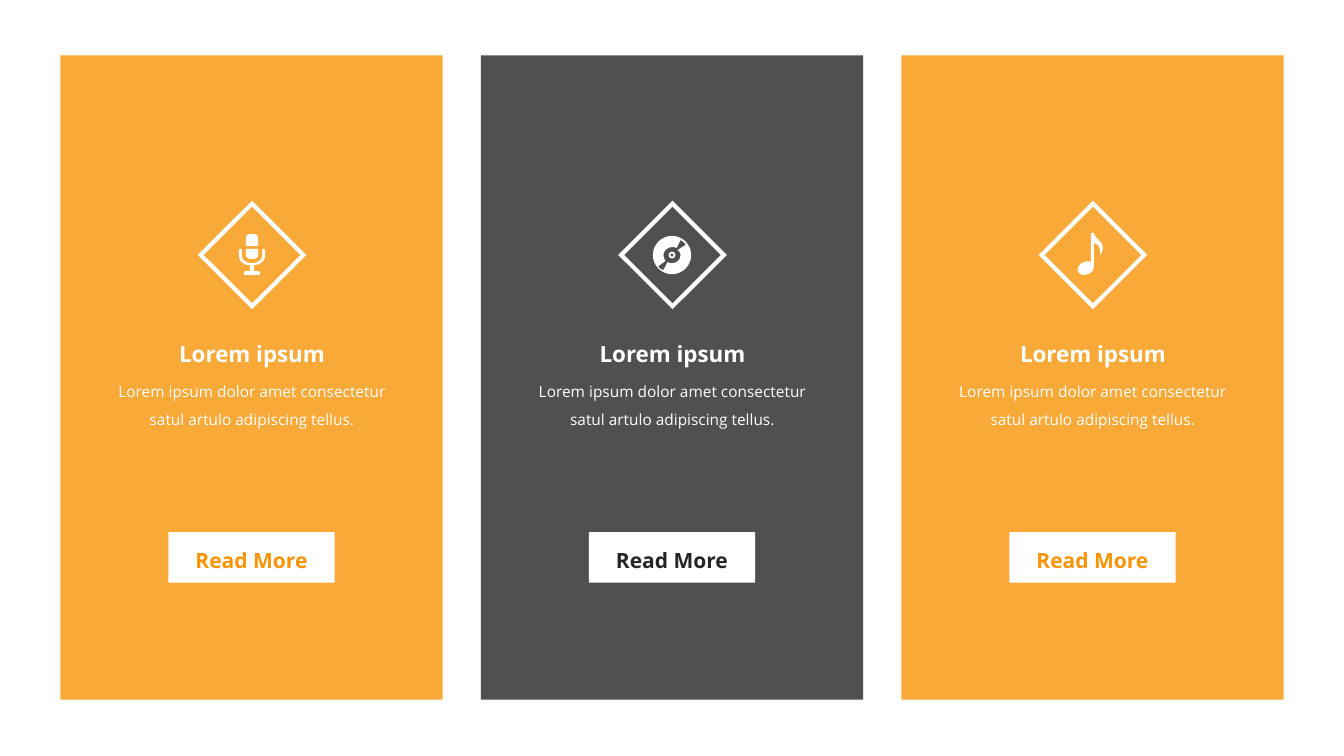
from lxml import etree
from pptx import Presentation, util as u
from pptx.dml.color import RGBColor
from pptx.enum import shapes, text
from pptx.oxml.ns import qn

# Content
COLOURS = {"orange": "F89406", "dark": "242527", "white": "FFFFFF"}
FONT = "Open Sans"
HEADING = "Lorem ipsum"
BODY = "Lorem ipsum dolor amet consectetur satul artulo adipiscing tellus."
BUTTON = "Read More"


def ring(cx, r):
    k = 0.55 * r
    return [(cx + r, 0), (cx + r, k, cx + k, r, cx, r),
            (cx - k, r, cx - r, k, cx - r, 0),
            (cx - r, -k, cx - k, -r, cx, -r),
            (cx + k, -r, cx + r, -k, cx + r, 0)]


# Icon outlines in 1/100 inch from the diamond's centre: pairs are corners,
# sixes are Bezier curves (two controls and an end)
MICROPHONE = [
    [(13, -5), (13, 1), (13, 5, 9, 10, 2, 10), (2, 16), (7, 16), (8, 17),
     (8, 19), (7, 20), (-7, 20), (-8, 19), (-8, 17), (-7, 16), (-2, 16),
     (-2, 10), (-10, 10, -13, 5, -13, 1), (-13, -5), (-12, -6), (-11, -6),
     (-10, -5), (-10, 1), (-10, 3, -8, 8, 0, 8), (8, 8, 10, 3, 10, 1),
     (10, -5), (11, -6), (12, -6)],
    [(6, -9), (-6, -9), (-6, -18), (-6, -19, -5, -21, 0, -21),
     (5, -21, 6, -19, 6, -18)],
    [(-6, 1), (-6, -6), (6, -6), (6, 1), (6, 2, 5, 4, 0, 4),
     (-5, 4, -6, 2, -6, 1)],
]
DISC = [
    ring(-0.5, 19),
    [(-13, 13), (-9, 15), (-5, 7), (-4, 8, -2, 8, 0, 8), (4, 8, 8, 5, 8, 0),
     (8, -2, 7, -4, 5, -5), (13, -10), (12, -12), (8, -15), (4, -7),
     (2, -8, 1, -8, 0, -8), (-5, -8, -9, -4, -9, 0), (-9, 3, -8, 4, -7, 6),
     (-14, 11)],
    ring(-0.5, 3.5),
    ring(-0.5, 1.8),
]
NOTE = [
    [(8, -1), (7, 0, 7, 0, 7, -1), (8, -3, 7, -11, 1, -12), (1, 12),
     (1, 15, -1, 18, -5, 19), (-9, 21, -14, 19, -15, 16),
     (-16, 13, -14, 9, -9, 7), (-7, 6, -4, 6, -2, 7), (-2, -22), (1, -22),
     (1, -16, 15, -12, 8, -1)],
]
CARDS = [("orange", MICROPHONE), ("dark", DISC), ("orange", NOTE)]

# Column grid and places within a column (left, top, width, height), in inches
MARGIN, PITCH = 0.6, 4.17
PANEL = (0, 0.55, 3.79, 6.39)
DIAMOND = (1.54, 2.17, 0.72, 0.72)
HEADING_BOX = (0.46, 3.19, 2.88, 0.46)
BODY_BOX = (0.46, 3.65, 2.88, 0.63)
BUTTON_BOX = (1.07, 5.28, 1.65, 0.5)
BUTTON_LABEL = (1.18, 5.26, 1.43, 0.44)
ICON_X, ICON_Y = 1.9, 2.53


def rgb(name):
    return RGBColor.from_string(COLOURS[name])


def place(column, box):
    left, top, width, height = box
    return [u.Inches(n) for n in (column + left, top, width, height)]


def add_box(parent, column, place_in_column, fill=None):
    box = parent.add_shape(shapes.MSO_SHAPE.RECTANGLE, *place(column, place_in_column))
    box.shadow.inherit = False
    box.line.fill.background()
    if fill:
        box.fill.solid()
        box.fill.fore_color.rgb = rgb(fill)
    else:
        box.fill.background()
    return box


def add_label(parent, column, place_in_column, words, size, colour, bold=False):
    label = parent.add_textbox(*place(column, place_in_column))
    frame = label.text_frame
    frame.word_wrap = True
    frame.auto_size = text.MSO_AUTO_SIZE.SHAPE_TO_FIT_TEXT
    frame.text = words
    line = frame.paragraphs[0]
    line.alignment = text.PP_ALIGN.CENTER
    line.line_spacing = 1.5
    font = line.runs[0].font
    font.name, font.size, font.bold = FONT, u.Pt(size), bold
    font.color.rgb = rgb(colour)


def add_icon(parent, column, outlines):
    def on_slide(x, y):
        return (u.Inches(column + ICON_X + x / 100), u.Inches(ICON_Y + y / 100))

    # Controls and ends first go in as straight segments
    builder = parent.build_freeform(*on_slide(*outlines[0][0]))
    for number, outline in enumerate(outlines):
        if number:
            builder.move_to(*on_slide(*outline[0]))
        builder.add_line_segments([on_slide(*part[i:i + 2]) for part in outline[1:]
                                   for i in range(0, len(part), 2)], close=True)
    icon = builder.convert_to_shape()

    # Each curve's three segments then become one Bezier segment
    segments = iter(list(icon._element.iter(qn("a:lnTo"))))
    for part in (part for outline in outlines for part in outline[1:]):
        first = next(segments)
        if len(part) == 6:
            first.tag = qn("a:cubicBezTo")
            for _ in range(2):
                extra = next(segments)
                first.append(extra[0])
                extra.getparent().remove(extra)

    icon.shadow.inherit = False
    icon.fill.solid()
    icon.fill.fore_color.rgb = rgb("white")
    icon.line.fill.background()


def main():
    prs = Presentation()
    prs.slide_width, prs.slide_height = u.Inches(13.33), u.Inches(7.5)
    slide = prs.slides.add_slide(prs.slide_layouts[6])
    columns = [MARGIN + PITCH * i for i in range(len(CARDS))]

    # Translucent panels
    for column, (colour, _) in zip(columns, CARDS):
        panel = add_box(slide.shapes, column, PANEL, colour)
        fill_colour = panel._element.spPr.find(".//" + qn("a:srgbClr"))
        etree.SubElement(fill_colour, qn("a:alpha")).set("val", "80000")

    # Card contents
    for column, (colour, outlines) in zip(columns, CARDS):
        card = slide.shapes.add_group_shape().shapes
        diamond = add_box(card, column, DIAMOND)
        diamond.rotation = 45
        diamond.line.color.rgb = rgb("white")
        diamond.line.width = u.Pt(3)
        border = diamond._element.spPr.find(qn("a:ln"))
        etree.SubElement(border, qn("a:miter")).set("lim", "800000")
        add_icon(card, column, outlines)
        add_label(card, column, HEADING_BOX, HEADING, 16, "white", True)
        add_label(card, column, BODY_BOX, BODY, 11, "white")
        add_box(card, column, BUTTON_BOX, "white")
        add_label(card, column, BUTTON_LABEL, BUTTON, 15, colour, True)

    prs.save("out.pptx")


if __name__ == "__main__":
    main()
